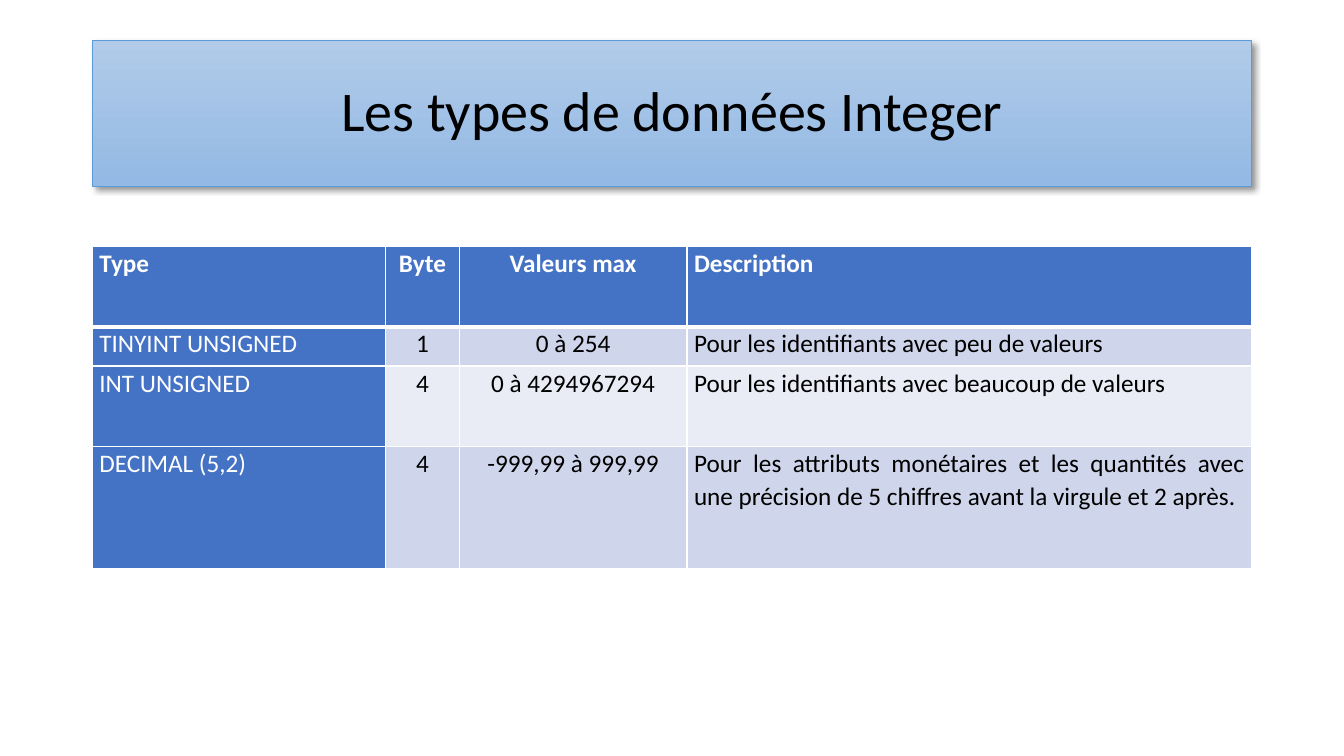
from lxml import etree
from pptx import Presentation
from pptx.dml.color import RGBColor
from pptx.enum.shapes import MSO_SHAPE
from pptx.enum.text import MSO_ANCHOR, PP_ALIGN
from pptx.oxml.ns import qn
from pptx.util import Pt

TITLE = "Les types de données Integer"
ROWS = [
    ("Type", "Byte", "Valeurs max", "Description"),
    ("TINYINT UNSIGNED", "1", "0 à 254",
     "Pour les identifiants avec peu de valeurs"),
    ("INT UNSIGNED", "4", "0 à 4294967294",
     "Pour les identifiants avec beaucoup de valeurs"),
    ("DECIMAL (5,2)", "4", "-999,99 à 999,99",
     "Pour les attributs monétaires et les quantités avec une précision "
     "de 5 chiffres avant la virgule et 2 après."),
]

CENTER, JUSTIFY = PP_ALIGN.CENTER, PP_ALIGN.JUSTIFY
MIDDLE = MSO_ANCHOR.MIDDLE
RECT = MSO_SHAPE.RECTANGLE
ALIGNS = (JUSTIFY, CENTER, CENTER, JUSTIFY)
WIDTHS = (209.5, 52.6, 162.7, 403.2)
HEIGHTS = (57.6, 28.1, 57.6, 87.1)

FONT = "Calibri"
BLACK = RGBColor(0x00, 0x00, 0x00)
WHITE = RGBColor(0xFF, 0xFF, 0xFF)
BLUE = RGBColor(0x44, 0x72, 0xC4)
BANDS = (RGBColor(0xE9, 0xEB, 0xF5), RGBColor(0xCF, 0xD5, 0xEA))
EDGE = RGBColor(0x5B, 0x9B, 0xD5)
SHADES = (RGBColor(0xB1, 0xCB, 0xE9), RGBColor(0x93, 0xB9, 0xE4))

LEFT, WIDTH = 66, 828
TITLE_TOP, TITLE_HIGH = 28.8, 104.4
TABLE_TOP = 175.8


def write(frame, text, size, color, align, space, bold=False):
    para = frame.paragraphs[0]
    para.alignment = align
    para.line_spacing = space
    run = para.add_run()
    run.text = text
    font = run.font
    font.name, font.size, font.bold = FONT, Pt(size), bold
    font.color.rgb = color


def add_child(parent, tag, **attrs):
    return etree.SubElement(parent, qn(tag), attrs)


def add_color(parent, color):
    return add_child(parent, "a:srgbClr", val=str(color))


def add_shadow(shape):
    shape.shadow.inherit = False
    effects = shape.element.spPr.find(qn("a:effectLst"))
    shadow = add_child(effects, "a:outerShdw", blurRad=str(Pt(4)),
                       dist=str(Pt(3)), dir="2700000", algn="tl",
                       rotWithShape="0")
    add_child(add_color(shadow, BLACK), "a:alpha", val="40000")


def add_borders(cell, top, bottom):
    props = cell._tc.get_or_add_tcPr()
    for side, width in (("L", 1), ("R", 1), ("T", top), ("B", bottom)):
        line = add_child(props, "a:ln" + side, w=str(Pt(width)))
        add_color(add_child(line, "a:solidFill"), WHITE)


def add_title(slide):
    box = slide.shapes.add_shape(RECT, Pt(LEFT), Pt(TITLE_TOP),
                                 Pt(WIDTH), Pt(TITLE_HIGH))
    box.fill.gradient()
    box.fill.gradient_angle = 270
    for stop, shade, place in zip(box.fill.gradient_stops, SHADES, (0, 1)):
        stop.color.rgb = shade
        stop.position = place
    box.line.color.rgb = EDGE
    box.line.width = Pt(0.5)
    add_shadow(box)
    frame = box.text_frame
    frame.word_wrap = True
    frame.vertical_anchor = MIDDLE
    write(frame, TITLE, 40, BLACK, CENTER, 0.9)


def fill_cell(cell, row, col, text):
    head = row == 0
    dark = head or col == 0
    add_borders(cell, 3 if row == 1 else 1, 3 if head else 1)
    cell.fill.solid()
    cell.fill.fore_color.rgb = BLUE if dark else BANDS[row % 2]
    cell.margin_left = cell.margin_right = Pt(5)
    cell.margin_top = cell.margin_bottom = 0
    write(cell.text_frame, text, 18, WHITE if dark else BLACK,
          ALIGNS[col], 1.07, head)


def add_grid(slide):
    table = slide.shapes.add_table(len(ROWS), len(WIDTHS), Pt(LEFT),
                                   Pt(TABLE_TOP), Pt(WIDTH),
                                   Pt(sum(HEIGHTS))).table
    for column, width in zip(table.columns, WIDTHS):
        column.width = Pt(width)
    for line, height in zip(table.rows, HEIGHTS):
        line.height = Pt(height)
    for row, texts in enumerate(ROWS):
        for col, text in enumerate(texts):
            fill_cell(table.cell(row, col), row, col, text)


def main():
    deck = Presentation()
    deck.slide_width, deck.slide_height = Pt(960), Pt(540)
    slide = deck.slides.add_slide(deck.slide_layouts[6])
    add_title(slide)
    add_grid(slide)
    deck.save("out.pptx")


if __name__ == "__main__":
    main()
